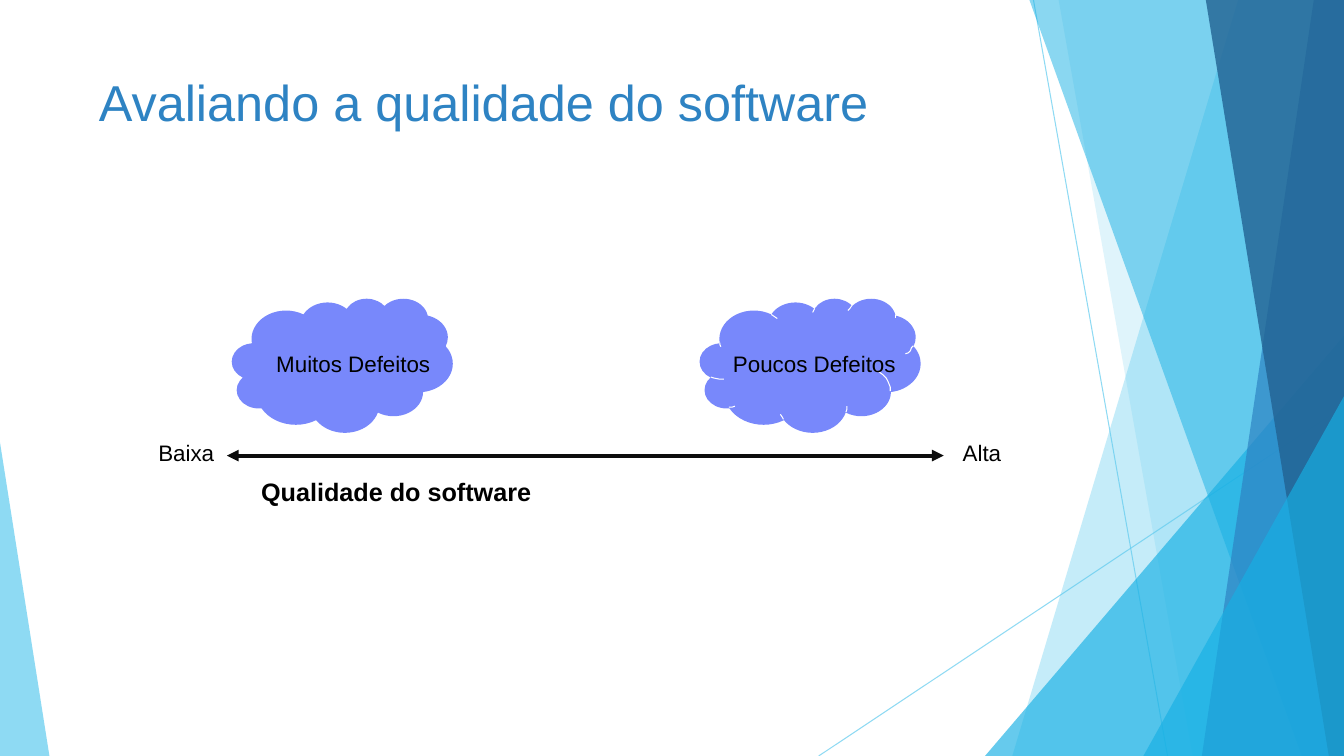
from dataclasses import dataclass

from lxml import etree
from pptx import Presentation
from pptx.dml.color import RGBColor
from pptx.enum.shapes import MSO_CONNECTOR, MSO_SHAPE
from pptx.enum.text import MSO_ANCHOR, PP_ALIGN
from pptx.oxml.ns import qn
from pptx.util import Pt

PX = 9144  # EMU per px, 100 px to the inch
SLIDE_W, SLIDE_H = 1333, 750
TITLE_ONLY = 5
FONT = "Arial"
STRAIGHT = MSO_CONNECTOR.STRAIGHT
CLOUD, TRIANGLE = MSO_SHAPE.CLOUD, MSO_SHAPE.ISOSCELES_TRIANGLE
LEFT, RIGHT = PP_ALIGN.LEFT, PP_ALIGN.RIGHT
TOP = MSO_ANCHOR.TOP

COLORS = {
    "sky": "5FCBEF",
    "cyan": "17B0E4",
    "blue": "2E83C3",
    "navy": "226292",
    "cloud": "7888FB",
    "axis": "0D0D0D",
    "text": "000000",
    "white": "FFFFFF",
}
FRAME_FORMAT = {"margin_left": 0, "margin_top": 0, "margin_right": 0,
                "margin_bottom": 0, "word_wrap": True, "vertical_anchor": TOP}

Point = tuple[int, int]


@dataclass(frozen=True)
class Ray:
    start: Point
    end: Point


@dataclass(frozen=True)
class Facet:
    """Band between the slide's right edge and a slanted left edge."""
    top_x: int
    bottom_x: int
    color: str
    opacity: int


@dataclass(frozen=True)
class Corner:
    """Right-angled triangle standing on the slide's bottom edge."""
    left: int
    top: int
    width: int
    apex: int
    color: str
    opacity: int


@dataclass(frozen=True)
class Label:
    text: str
    left: int
    top: int
    width: int
    size: int = 16
    bold: bool = False
    align: PP_ALIGN = LEFT


RAYS = [Ray((1025, 0), (1158, 750)), Ray((1333, 403), (812, 750))]
BACKDROP = [
    Facet(1228, 1004, "sky", 36),
    Facet(1050, 1183, "sky", 20),
    Corner(977, 333, 356, 1, "cyan", 66),
    Facet(1021, 1291, "cyan", 50),
    Facet(1303, 1192, "blue", 70),
    Facet(1196, 1318, "navy", 80),
    Corner(1134, 393, 199, 1, "cyan", 66),
    Corner(0, 439, 49, 0, "sky", 70),
]
CLOUD_LEFTS = [230, 694]
# White folds on the right-hand cloud
FOLDS: list[list[Point]] = [
    [(718, 376), (713, 376), (708, 375), (705, 374)],
    [(729, 403), (726, 404), (723, 404)],
    [(777, 416), (776, 414), (774, 411)],
    [(840, 403), (840, 406), (839, 409)],
    [(867, 367), (872, 369), (876, 372), (879, 375), (881, 379), (883, 384),
     (883, 388)],
    [(906, 343), (904, 345), (903, 348), (901, 350), (898, 351)],
    [(888, 313), (888, 316)],
    [(841, 308), (843, 306), (845, 303)],
    [(806, 310), (807, 308), (808, 306)],
    [(765, 312), (768, 314), (771, 316)],
    [(715, 344), (714, 342), (714, 340)],
]
LABELS = [
    Label("Muitos Defeitos", 274, 347, 170),
    Label("Poucos Defeitos", 727, 347, 170),
    Label("Baixa", 157, 436, 65),
    Label("Alta", 933, 436, 60, align=RIGHT),
    Label("Qualidade do software", 259, 473, 300, 18, True),
]


def px(*lengths: int) -> list[int]:
    return [length * PX for length in lengths]


def rgb(name: str) -> RGBColor:
    return RGBColor.from_string(COLORS[name])


def set_opacity(properties, percent: int) -> None:
    color = properties.find(".//" + qn("a:srgbClr"))
    etree.SubElement(color, qn("a:alpha")).set("val", str(percent * 1000))


def fill_shape(shape, color: str) -> None:
    shape.shadow.inherit = False
    shape.fill.solid()
    shape.fill.fore_color.rgb = rgb(color)
    shape.line.fill.background()


def draw_line(slide, start: Point, end: Point, color: str, width: float):
    line = slide.shapes.add_connector(STRAIGHT, *px(*start, *end))
    line.line.color.rgb = rgb(color)
    line.line.width = Pt(width)
    etree.SubElement(line._element.spPr, qn("a:effectLst"))
    return line


def trace(slide, points: list[Point], close: bool):
    builder = slide.shapes.build_freeform(*points[0], scale=PX)
    builder.add_line_segments(points[1:], close=close)
    return builder.convert_to_shape()


def draw_panel(slide, panel: Facet | Corner) -> None:
    if isinstance(panel, Facet):
        shape = trace(slide, [(panel.top_x, 0), (SLIDE_W, 0),
                              (SLIDE_W, SLIDE_H), (panel.bottom_x, SLIDE_H)],
                      close=True)
    else:
        shape = slide.shapes.add_shape(TRIANGLE, *px(
            panel.left, panel.top, panel.width, SLIDE_H - panel.top))
        shape.adjustments[0] = panel.apex
    fill_shape(shape, panel.color)
    set_opacity(shape._element.spPr, panel.opacity)


def draw_fold(slide, points: list[Point]) -> None:
    fold = trace(slide, points, close=False)
    fold.shadow.inherit = False
    fold.fill.background()
    fold.line.color.rgb = rgb("white")
    fold.line.width = Pt(0.75)


def write(frame, text: str, color: str, size: int, bold: bool,
          align: PP_ALIGN) -> None:
    for attribute, value in FRAME_FORMAT.items():
        setattr(frame, attribute, value)
    frame.text = text
    paragraph = frame.paragraphs[0]
    paragraph.alignment = align
    font = paragraph.runs[0].font
    font_format = {"name": FONT, "size": Pt(size), "bold": bold}
    for attribute, value in font_format.items():
        setattr(font, attribute, value)
    font.color.rgb = rgb(color)


def draw_label(slide, label: Label) -> None:
    box = slide.shapes.add_textbox(*px(label.left, label.top, label.width, 28))
    write(box.text_frame, label.text, "text", label.size, label.bold,
          label.align)


def draw_quality_axis(slide) -> None:
    axis = draw_line(slide, (225, 452), (936, 452), "axis", 2.8)
    outline = axis.line._get_or_add_ln()
    for end in ("a:headEnd", "a:tailEnd"):
        etree.SubElement(outline, qn(end)).set("type", "triangle")


def place_title(slide) -> None:
    title = slide.shapes.title
    title.left, title.top, title.width, title.height = px(74, 67, 940, 144)
    write(title.text_frame, "Avaliando a qualidade do software", "blue", 36,
          False, LEFT)
    title.text_frame.margin_left, title.text_frame.margin_top = px(24, 4)


def main() -> None:
    deck = Presentation()
    deck.slide_width, deck.slide_height = px(SLIDE_W, SLIDE_H)
    slide = deck.slides.add_slide(deck.slide_layouts[TITLE_ONLY])

    # Backdrop
    for ray in RAYS:
        line = draw_line(slide, ray.start, ray.end, "sky", 0.75)
        set_opacity(line._element.spPr, 70)
    for panel in BACKDROP:
        draw_panel(slide, panel)

    # Title
    place_title(slide)

    # Quality scale
    draw_quality_axis(slide)
    for left in CLOUD_LEFTS:
        fill_shape(slide.shapes.add_shape(CLOUD, *px(left, 296, 219, 133)),
                   "cloud")
    for fold in FOLDS:
        draw_fold(slide, fold)
    for label in LABELS:
        draw_label(slide, label)

    deck.save("out.pptx")


if __name__ == "__main__":
    main()
